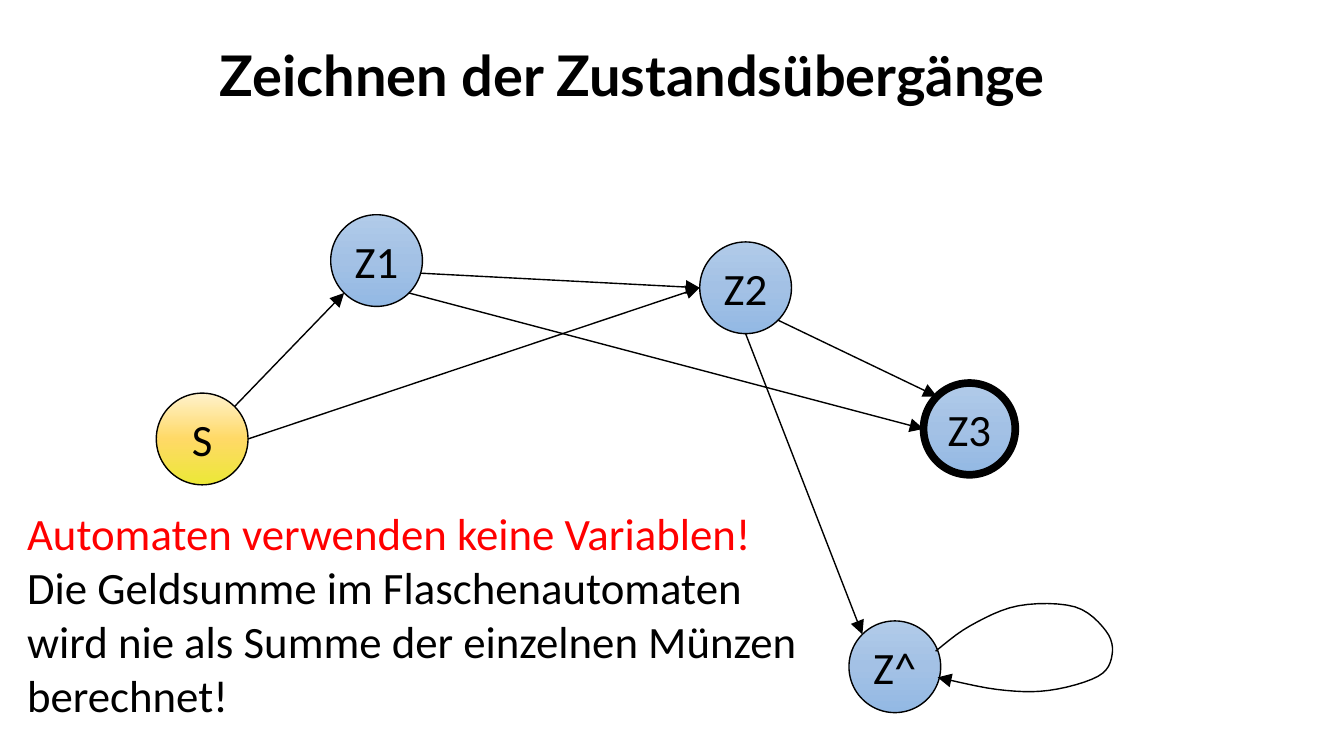
from math import cos, radians, sin

from pptx import Presentation
from pptx.dml.color import RGBColor
from pptx.enum.shapes import MSO_CONNECTOR, MSO_SHAPE
from pptx.enum.text import MSO_ANCHOR, MSO_AUTO_SIZE, PP_ALIGN
from pptx.oxml import parse_xml
from pptx.oxml.ns import nsdecls
from pptx.util import Inches, Pt

BLACK = RGBColor(0x00, 0x00, 0x00)
RED = RGBColor(0xFF, 0x00, 0x00)
CREAM = RGBColor(0xFF, 0xF2, 0xCC)
GOLD = RGBColor(0xFF, 0xD9, 0x66)
LEMON = RGBColor(0xEC, 0xE8, 0x37)
PALE = RGBColor(0xB1, 0xCB, 0xE9)
SKY = RGBColor(0xA3, 0xC1, 0xE5)
BLUE = RGBColor(0x93, 0xB9, 0xE4)

STRAIGHT = MSO_CONNECTOR.STRAIGHT
OVAL = MSO_SHAPE.OVAL
MIDDLE = MSO_ANCHOR.MIDDLE
LEFT, CENTER = PP_ALIGN.LEFT, PP_ALIGN.CENTER
NO_FIT, GROW = MSO_AUTO_SIZE.NONE, MSO_AUTO_SIZE.SHAPE_TO_FIT_TEXT

# Places on the rim of a state, in degrees clockwise from the right
EAST, SOUTHEAST, SOUTH, SOUTHWEST, WEST, NORTHWEST, NORTHEAST = (
    0, 45, 90, 135, 180, 225, 315)
BELOW_EAST = 16
SIZE = 0.91  # diameter of a state
STEPS = 6    # segments between two knots of the loop


def add_run(para, text, size, font, color):
    run = para.add_run()
    run.text = text
    run.font.size = Pt(size)
    run.font.name = font
    run.font.color.rgb = color
    return run


def add_arrow(shape):
    shape.line.color.rgb = BLACK
    shape.line.width = Pt(1)
    shape.line._get_or_add_ln().append(
        parse_xml(f'<a:tailEnd {nsdecls("a")} type="triangle" w="lg" len="lg"/>'))


prs = Presentation()
prs.slide_width, prs.slide_height = Inches(13.33), Inches(7.5)
slide = prs.slides.add_slide(prs.slide_layouts[5])
shapes = slide.shapes

# Title
title = shapes.title
title.left, title.top = Inches(2.08), Inches(0.05)
title.width, title.height = Inches(9.72), Inches(1.45)
frame = title.text_frame
frame.auto_size = NO_FIT
frame.vertical_anchor = MIDDLE
para = frame.paragraphs[0]
para.alignment = LEFT
para.line_spacing = 0.9
add_run(para, "Zeichnen der Zustandsübergänge", 40, "Lato", BLACK).font.bold = True

# States: left and top; the start is yellow, the final state has a thick rim
states = {
    "S": (1.55, 3.9),
    "Z1": (3.28, 2.13),
    "Z2": (6.94, 2.4),
    "Z3": (9.16, 3.8),
    "Z^": (8.42, 6.16),
}
for name, (left, top) in states.items():
    state = shapes.add_shape(OVAL, Inches(left), Inches(top), Inches(SIZE), Inches(SIZE))
    state.shadow.inherit = False
    colors = (CREAM, GOLD, LEMON) if name == "S" else (PALE, SKY, BLUE)
    stops = "".join(f'<a:gs pos="{pos}"><a:srgbClr val="{color}"/></a:gs>'
                    for pos, color in zip((0, 50000, 100000), colors))
    state.fill.background()
    props = state._element.spPr
    blank = props.find(f"{{{props.nsmap['a']}}}noFill")
    props.replace(blank, parse_xml(
        f'<a:gradFill {nsdecls("a")} rotWithShape="1"><a:gsLst>{stops}</a:gsLst>'
        '<a:lin ang="5400000" scaled="0"/></a:gradFill>'))
    state.line.color.rgb = BLACK
    state.line.width = Pt(5.5 if name == "Z3" else 1)
    frame = state.text_frame
    frame.word_wrap = False
    frame.vertical_anchor = MIDDLE
    para = frame.paragraphs[0]
    para.alignment = CENTER
    add_run(para, name, 32, "Calibri", BLACK)

# Transitions: each runs from rim to rim
moves = [
    (("S", NORTHEAST), ("Z1", SOUTHWEST)),
    (("S", EAST), ("Z2", WEST)),
    (("Z1", BELOW_EAST), ("Z2", WEST)),
    (("Z1", SOUTHEAST), ("Z3", WEST)),
    (("Z2", SOUTHEAST), ("Z3", NORTHWEST)),
    (("Z2", SOUTH), ("Z^", NORTHWEST)),
]
for move in moves:
    ends = []
    for name, angle in move:
        left, top = states[name]
        turn = radians(angle)
        ends += [Inches(left + SIZE / 2 * (1 + cos(turn))),
                 Inches(top + SIZE / 2 * (1 + sin(turn)))]
    line = shapes.add_connector(STRAIGHT, *ends)
    line._element.spPr.append(parse_xml(f'<a:effectLst {nsdecls("a")}/>'))
    add_arrow(line)

# Loop at Z^: a Catmull-Rom curve through a few knots
knots = [(9.28, 6.46), (9.62, 6.21), (10.1, 6.01), (10.66, 6.02), (10.97, 6.26),
         (11.03, 6.5), (10.89, 6.71), (10.4, 6.85), (9.89, 6.84), (9.3, 6.72)]
guides = [knots[0], *knots, knots[-1]]
pen = shapes.build_freeform(*map(Inches, knots[0]))
dots = []
for quad in zip(guides, guides[1:], guides[2:], guides[3:]):
    for step in range(1, STEPS + 1):
        t = step / STEPS
        dots.append([
            Inches(b + t * (c - a) / 2
                   + t ** 2 * (2 * a - 5 * b + 4 * c - d) / 2
                   + t ** 3 * (3 * b - a - 3 * c + d) / 2)
            for a, b, c, d in zip(*quad)])
pen.add_line_segments(dots, close=False)
loop = pen.convert_to_shape()
loop.shadow.inherit = False
loop.fill.background()
add_arrow(loop)

# Remark
box = shapes.add_textbox(Inches(0.17), Inches(4.97), Inches(7.99), Inches(2.26))
frame = box.text_frame
frame.word_wrap = True
frame.auto_size = GROW
add_run(frame.paragraphs[0], "Automaten verwenden keine Variablen!", 32, "Calibri", RED)
add_run(frame.add_paragraph(),
        "Die Geldsumme im Flaschenautomaten wird nie als Summe der einzelnen Münzen berechnet!",
        32, "Calibri", BLACK)

prs.save("out.pptx")
